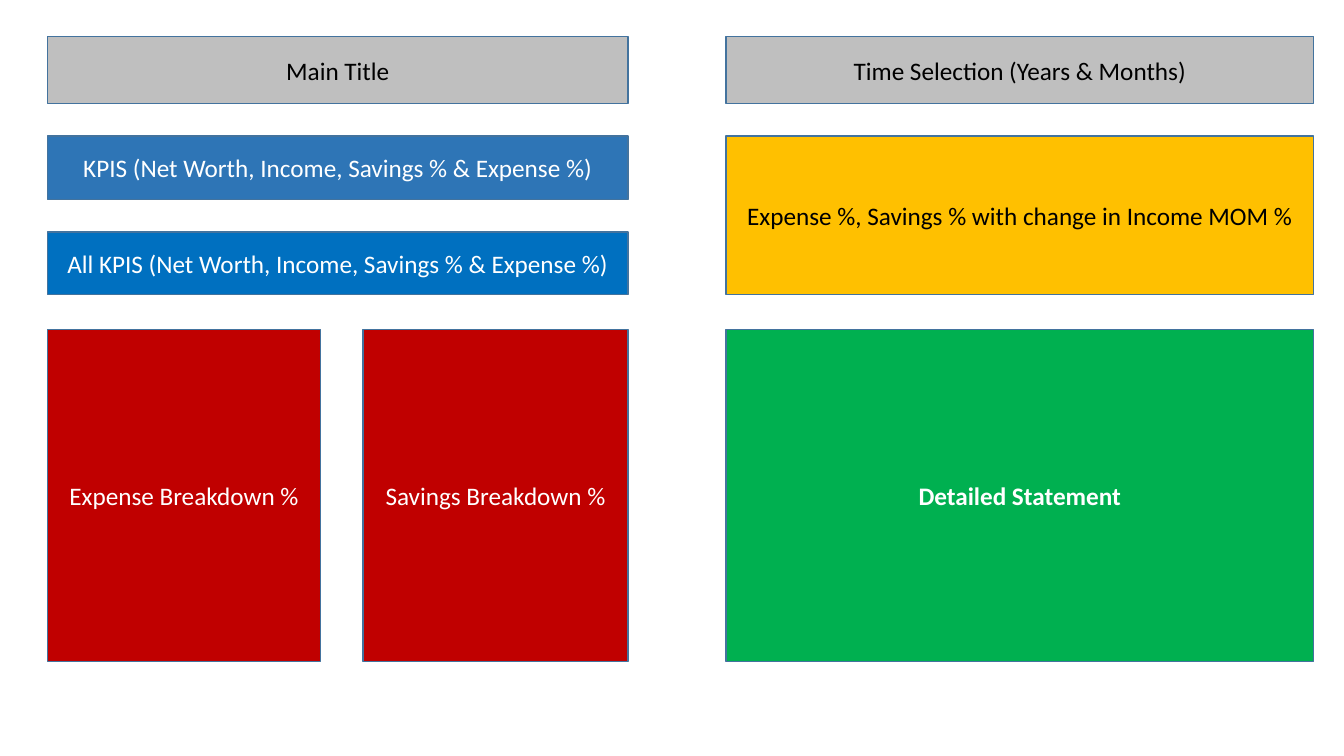
from dataclasses import dataclass

from pptx import Presentation
from pptx.dml.color import RGBColor as RGB
from pptx.enum.shapes import MSO_SHAPE as Shape
from pptx.enum.text import MSO_ANCHOR as Anchor, MSO_AUTO_SIZE as AutoSize, PP_ALIGN as Align
from pptx.util import Inches, Pt


@dataclass(frozen=True)
class Theme:
    font: str = "Calibri"
    size: int = 18
    outline: str = "43739E"
    outline_width: int = 1
    light: str = "FFFFFF"
    dark: str = "000000"
    header: str = "BFBFBF"
    kpi: str = "2E75B6"
    all_kpi: str = "0070C0"
    breakdown: str = "C00000"
    trend: str = "FFC000"
    statement: str = "00B050"


theme = Theme()

# Grid: (start, end) of each column and row, in inches
COLUMNS = {"left": (0.47, 6.23), "expense": (0.47, 3.18),
           "savings": (3.6, 6.23), "right": (7.2, 13.03)}
ROWS = {"header": (0.36, 1.03), "kpi": (1.35, 1.98),
        "all_kpi": (2.3, 2.92), "detail": (3.27, 6.56)}

# Panels: text, column, first row, last row, fill, text colour, bold
TITLE = ("Main Title", "left", "header", "header", theme.header, theme.dark, False)
PANELS = [
    ("Time Selection (Years & Months)", "right", "header", "header",
     theme.header, theme.dark, False),
    ("KPIS (Net Worth, Income, Savings % & Expense %)", "left", "kpi", "kpi",
     theme.kpi, theme.light, False),
    ("All KPIS (Net Worth, Income, Savings % & Expense %)", "left", "all_kpi", "all_kpi",
     theme.all_kpi, theme.light, False),
    ("Expense %, Savings % with change in Income MOM %", "right", "kpi", "all_kpi",
     theme.trend, theme.dark, False),
    ("Expense Breakdown %", "expense", "detail", "detail",
     theme.breakdown, theme.light, False),
    ("Savings Breakdown %", "savings", "detail", "detail",
     theme.breakdown, theme.light, False),
    ("Detailed Statement", "right", "detail", "detail",
     theme.statement, theme.light, True),
]


def style_panel(panel, text, column, first_row, last_row, fill, colour, bold):
    """Place a panel on the grid, then set its fill, outline and label."""
    left, right = COLUMNS[column]
    top, bottom = ROWS[first_row][0], ROWS[last_row][1]
    panel.left, panel.top = Inches(left), Inches(top)
    panel.width, panel.height = Inches(right - left), Inches(bottom - top)
    panel.fill.solid()
    panel.fill.fore_color.rgb = RGB.from_string(fill)
    panel.line.color.rgb = RGB.from_string(theme.outline)
    panel.line.width = Pt(theme.outline_width)

    frame = panel.text_frame
    frame.text = text
    frame.word_wrap = True
    frame.auto_size = AutoSize.NONE
    frame.vertical_anchor = Anchor.MIDDLE
    label = frame.paragraphs[0]
    label.alignment = Align.CENTER
    font = label.runs[0].font
    font.name, font.size, font.bold = theme.font, Pt(theme.size), bold
    font.color.rgb = RGB.from_string(colour)


# Slide
deck = Presentation()
deck.slide_width, deck.slide_height = Inches(13.33), Inches(7.5)
slide = deck.slides.add_slide(deck.slide_layouts[5])

# Title panel
style_panel(slide.shapes.title, *TITLE)

# Dashboard panels
for details in PANELS:
    panel = slide.shapes.add_shape(Shape.RECTANGLE, 0, 0, 0, 0)
    panel.shadow.inherit = False
    style_panel(panel, *details)

deck.save("out.pptx")
